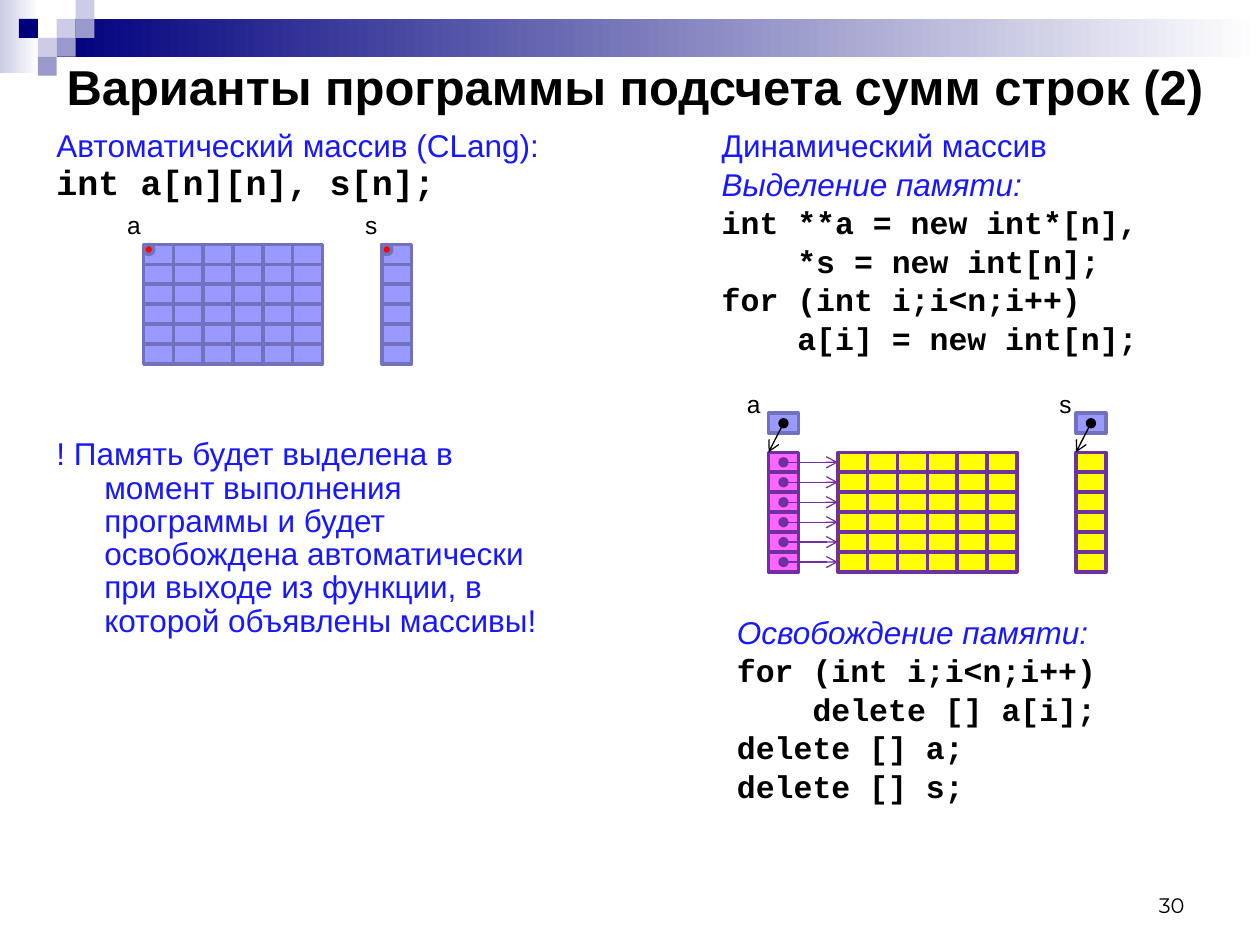
import pptx
import pptx.dml.color
import pptx.enum.shapes
import pptx.enum.text
import pptx.oxml
import pptx.oxml.ns
import pptx.util
import lxml.etree

Inches = pptx.util.Inches
Pt = pptx.util.Pt
SHAPES = pptx.enum.shapes.MSO_SHAPE
ANCHOR = pptx.enum.text.MSO_ANCHOR
ALIGN = pptx.enum.text.PP_ALIGN
COLOURS = {
    "black": "000000", "white": "FFFFFF", "navy": "00007D", "pale": "CCCCE6",
    "lilac": "9999CC", "blue": "1818FF", "cell": "9999FF", "edge": "7171BD",
    "red": "FF0000", "yellow": "FFFF00", "purple": "7030A0", "pink": "FF66FF",
}
RGB = {name: pptx.dml.color.RGBColor.from_string(value) for name, value in COLOURS.items()}
# font, size, colour, bold, italic
STYLES = {
    "title": ("Arial", 28, "black", True, False),
    "heading": ("Arial", 18, "blue", False, False),
    "step": ("Arial", 18, "blue", False, True),
    "code": ("Courier New", 18, "black", True, False),
    "big code": ("Courier New", 20, "black", True, False),
    "label": ("Arial", 14, "black", False, False),
    "number": ("Montserrat", 12, "black", False, False),
}

deck = pptx.Presentation()
deck.slide_width, deck.slide_height = Inches(10), Inches(7.5)
page = deck.slides.add_slide(deck.slide_layouts[6])


def add_shape(kind, left, top, width, height, fill, line=None):
    """Add a preset shape; a pair of fill names makes a left-to-right gradient."""
    shape = page.shapes.add_shape(kind, Inches(left), Inches(top), Inches(width), Inches(height))
    shape.shadow.inherit = False
    if isinstance(fill, tuple):
        shape.fill.gradient()
        shape.fill.gradient_angle = 0
        for stop, name in zip(shape.fill.gradient_stops, fill):
            stop.color.rgb = RGB[name]
    else:
        shape.fill.solid()
        shape.fill.fore_color.rgb = RGB[fill]
    if line:
        shape.line.color.rgb = RGB[line]
        shape.line.width = Pt(2)
    else:
        shape.line.fill.background()
    return shape


def add_text(left, top, width, height, lines, anchor=ANCHOR.TOP):
    """Add a text box of (style, text) paragraphs."""
    box = page.shapes.add_textbox(Inches(left), Inches(top), Inches(width), Inches(height))
    frame = box.text_frame
    frame.word_wrap = True
    frame.vertical_anchor = anchor
    for index, (style, text) in enumerate(lines):
        para = frame.add_paragraph() if index else frame.paragraphs[0]
        para.text = text
        if len(lines) > 1:
            para.line_spacing = Pt(19)
            para.space_before = Pt(3 if index else 0)
        font = para.font
        font.name, size, colour, font.bold, font.italic = STYLES[style]
        font.size = Pt(size)
        font.color.rgb = RGB[colour]
    return frame.paragraphs


# Header band and its mosaic
add_shape(SHAPES.RECTANGLE, 0, 0, 0.31, 0.58, ("pale", "white"))
add_shape(SHAPES.RECTANGLE, 0.45, 0.15, 9.55, 0.3, ("navy", "white"))
TILE = 0.15
for column, row, colour in [(3, 1, "pale"), (4, 0, "pale"), (4, 1, "lilac"), (2, 2, "pale"),
                            (1, 1, "navy"), (3, 2, "lilac"), (2, 3, "lilac")]:
    add_shape(SHAPES.RECTANGLE, column * TILE, row * TILE, TILE, TILE, colour)

# Texts
number = add_text(8.86, 6.83, 0.64, 0.5, [("number", "30")], ANCHOR.BOTTOM)
number[0].alignment = ALIGN.RIGHT
add_text(0.43, 0.52, 9.77, 0.32, [("title", "Варианты программы подсчета сумм строк (2)")],
         ANCHOR.MIDDLE)
automatic = add_text(0.35, 0.99, 4.17, 2.99, [
    ("heading", "Автоматический массив (CLang):"),
    ("big code", "int a[n][n], s[n];"),
    ("heading", "! Память будет выделена в момент выполнения программы и будет "
                "освобождена автоматически при выходе из функции, в которой объявлены массивы!"),
])
for para in automatic:
    properties = para._p.get_or_add_pPr()
    properties.set("marL", str(Inches(0.38)))
    properties.set("indent", str(-Inches(0.38)))
automatic[-1].space_before = Pt(135)  # room for the array drawing
add_text(5.63, 0.99, 4.37, 2.21, [
    ("heading", "Динамический массив"),
    ("step", "Выделение памяти:"),
    ("code", "int **a = new int*[n],"),
    ("code", "    *s = new int[n];"),
    ("code", "for (int i;i<n;i++)"),
    ("code", "    a[i] = new int[n];"),
])
add_text(5.75, 4.85, 4.25, 1.9, [
    ("step", "Освобождение памяти:"),
    ("code", "for (int i;i<n;i++)"),
    ("code", "    delete [] a[i];"),
    ("code", "delete [] a;"),
    ("code", "delete [] s;"),
])
for left, top, name in [(0.91, 1.62, "a"), (2.8, 1.62, "s"), (5.83, 3.04, "a"), (8.31, 3.04, "s")]:
    add_text(left, top, 0.31, 0.34, [("label", name)])

# Arrays, each of six rows
ROWS = 6
CELL_WIDTH, CELL_HEIGHT = 1.42 / 6, 0.95 / 6
grids = {}
for name, left, top, columns, fill, line in [
    ("automatic a", 1.14, 1.94, 6, "cell", "edge"),
    ("automatic s", 3.03, 1.94, 1, "cell", "edge"),
    ("dynamic a", 6.65, 3.59, 6, "yellow", "purple"),
    ("dynamic s", 8.54, 3.59, 1, "yellow", "purple"),
    ("row pointers", 6.1, 3.59, 1, "pink", "purple"),
    ("pointer a", 6.1, 3.28, 1, "cell", "edge"),
    ("pointer s", 8.54, 3.28, 1, "cell", "edge"),
]:
    rows = 1 if name.startswith("pointer") else ROWS
    grids[name] = [
        [add_shape(SHAPES.RECTANGLE, left + column * CELL_WIDTH, top + row * CELL_HEIGHT,
                   CELL_WIDTH, CELL_HEIGHT, fill, line) for column in range(columns)]
        for row in range(rows)
    ]
for left in (1.14, 3.03):
    add_shape(SHAPES.OVAL, left, 1.94, 0.08, 0.08, "red", "edge")

# Pointer arrows: from a cell's centre to a corner or to the side of a row
arrows = [(grids["pointer a"][0][0], grids["row pointers"][0][0], "black"),
          (grids["pointer s"][0][0], grids["dynamic s"][0][0], "black")]
arrows += [(grids["row pointers"][row][0], grids["dynamic a"][row][0], "purple")
           for row in range(ROWS)]
for source, target, colour in arrows:
    arrow = page.shapes.add_connector(
        pptx.enum.shapes.MSO_CONNECTOR.STRAIGHT,
        source.left + source.width // 2, source.top + source.height // 2,
        target.left, target.top)
    if colour == "purple":
        arrow.end_connect(target, 1)
    arrow.line.color.rgb = RGB[colour]
    arrow.line.width = Pt(0.75)
    line = arrow.line._get_or_add_ln()
    for end, kind in (("a:headEnd", "oval"), ("a:tailEnd", "arrow")):
        lxml.etree.SubElement(line, pptx.oxml.ns.qn(end)).set("type", kind)
    lxml.etree.SubElement(arrow._element.spPr, pptx.oxml.ns.qn("a:effectLst"))

deck.save("out.pptx")
